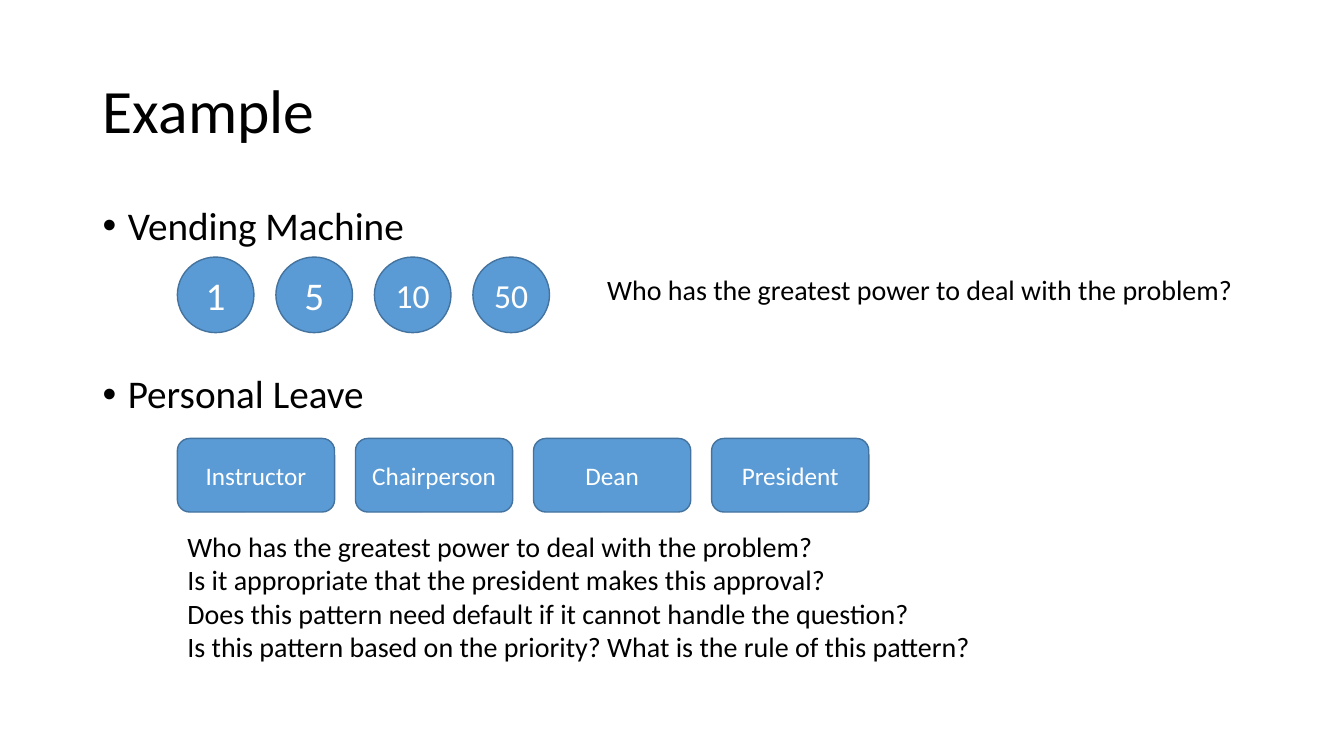
from dataclasses import dataclass

from lxml.etree import SubElement
from pptx import Presentation
from pptx.dml.color import RGBColor
from pptx.enum.shapes import MSO_SHAPE as Preset
from pptx.enum.text import MSO_ANCHOR as Anchor, MSO_AUTO_SIZE as AutoSize, PP_ALIGN as Align
from pptx.oxml.ns import qn
from pptx.util import Inches, Pt

WIDTH, HEIGHT = Inches(13.333), Inches(7.5)
LIST_INDENT = Inches(0.25)


@dataclass(frozen=True)
class Theme:
    font: str = "Calibri"
    text: RGBColor = RGBColor(0x00, 0x00, 0x00)
    label: RGBColor = RGBColor(0xFF, 0xFF, 0xFF)
    fill: RGBColor = RGBColor(0x5B, 0x9B, 0xD5)
    outline: RGBColor = RGBColor(0x43, 0x73, 0x9E)
    title_size: int = 44
    topic_size: int = 28
    coin_size: int = 24
    question_size: int = 20
    role_size: int = 18


THEME = Theme()


def area(left, top, width, height):
    """Turn percentages of the slide's size into lengths."""
    return (int(WIDTH * left / 100), int(HEIGHT * top / 100),
            int(WIDTH * width / 100), int(HEIGHT * height / 100))


def write(shape, text, size, color=THEME.text, align=Align.LEFT, anchor=Anchor.MIDDLE, wrap=True):
    frame = shape.text_frame
    frame.text = text
    frame.word_wrap = wrap
    frame.auto_size = AutoSize.NONE
    frame.vertical_anchor = anchor
    for paragraph in frame.paragraphs:
        paragraph.alignment = align
        for run in paragraph.runs:
            run.font.name = THEME.font
            run.font.size = Pt(size)
            run.font.color.rgb = color


def add_title(slide, text):
    title = slide.shapes.title
    title.left, title.top, title.width, title.height = area(6.9, 5.33, 86.27, 19.33)
    write(title, text, THEME.title_size)
    title.text_frame.paragraphs[0].line_spacing = 0.9


def add_text(slide, box, text, size, **layout):
    shape = slide.shapes.add_textbox(*area(*box))
    write(shape, text, size, **layout)
    return shape


def add_topics(slide, box, topics):
    """Add a bulleted list from pairs of topic and space before it."""
    text = "\n".join(topic for topic, _ in topics)
    shape = add_text(slide, box, text, THEME.topic_size, anchor=Anchor.TOP)
    for paragraph, (_, space) in zip(shape.text_frame.paragraphs, topics):
        paragraph.line_spacing = 0.9
        paragraph.space_before = Pt(space)
        properties = paragraph._p.get_or_add_pPr()
        properties.set("marL", str(LIST_INDENT))
        properties.set("indent", str(-LIST_INDENT))
        SubElement(properties, qn("a:buFont")).set("typeface", "Arial")
        SubElement(properties, qn("a:buChar")).set("char", "•")


def add_chain(slide, preset, first_box, pitch, links):
    """Add a row of equal shapes from pairs of label and type size."""
    left, top, width, height = first_box
    for index, (label, size) in enumerate(links):
        box = area(left + index * pitch, top, width, height)
        shape = slide.shapes.add_shape(preset, *box)
        shape.shadow.inherit = False
        shape.fill.solid()
        shape.fill.fore_color.rgb = THEME.fill
        shape.line.color.rgb = THEME.outline
        shape.line.width = Pt(1)
        write(shape, label, size, THEME.label, Align.CENTER, wrap=False)


def main():
    presentation = Presentation()
    presentation.slide_width, presentation.slide_height = WIDTH, HEIGHT
    slide = presentation.slides.add_slide(presentation.slide_layouts.get_by_name("Title Only"))

    # Title and topics
    add_title(slide, "Example")
    add_topics(slide, (6.9, 26.67, 86.27, 63.47),
               [("Vending Machine", 10), ("Personal Leave", 90)])

    # Vending machine: coins and question
    coins = [("1", THEME.topic_size), ("5", THEME.topic_size),
             ("10", THEME.coin_size), ("50", THEME.coin_size)]
    add_chain(slide, Preset.OVAL, (13.2, 34, 5.7, 10), 7.33, coins)
    power_question = "Who has the greatest power to deal with the problem?"
    add_text(slide, (44.33, 31.2, 48.22, 14.13), power_question,
             THEME.question_size, align=Align.CENTER)

    # Personal leave: approvers and questions
    roles = ["Instructor", "Chairperson", "Dean", "President"]
    add_chain(slide, Preset.ROUNDED_RECTANGLE, (13.2, 58, 11.7, 9.73), 13.25,
              [(role, THEME.role_size) for role in roles])
    leave_questions = [
        power_question,
        "Is it appropriate that the president makes this approval?",
        "Does this pattern need default if it cannot handle the question?",
        "Is this pattern based on the priority? What is the rule of this pattern?",
    ]
    add_text(slide, (13.2, 73.33, 71.03, 11.07), "\n".join(leave_questions), THEME.question_size)

    presentation.save("out.pptx")


if __name__ == "__main__":
    main()
